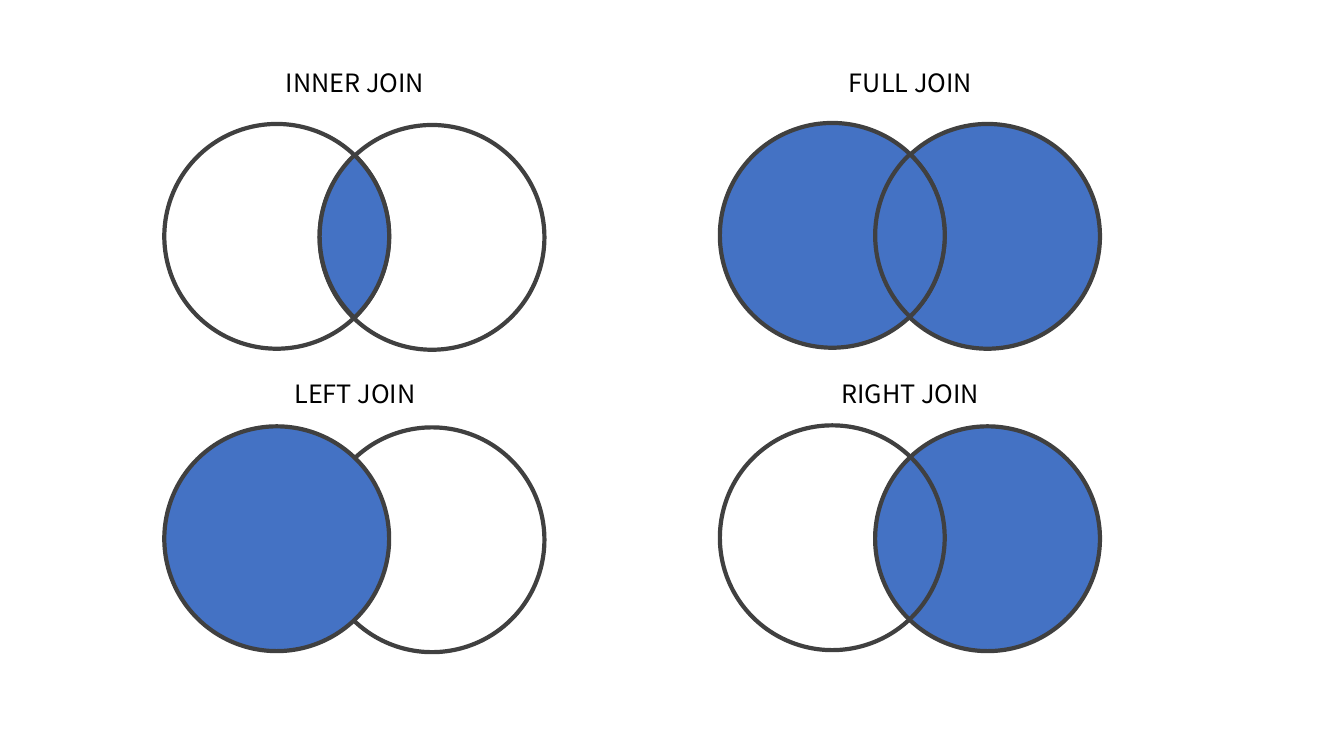
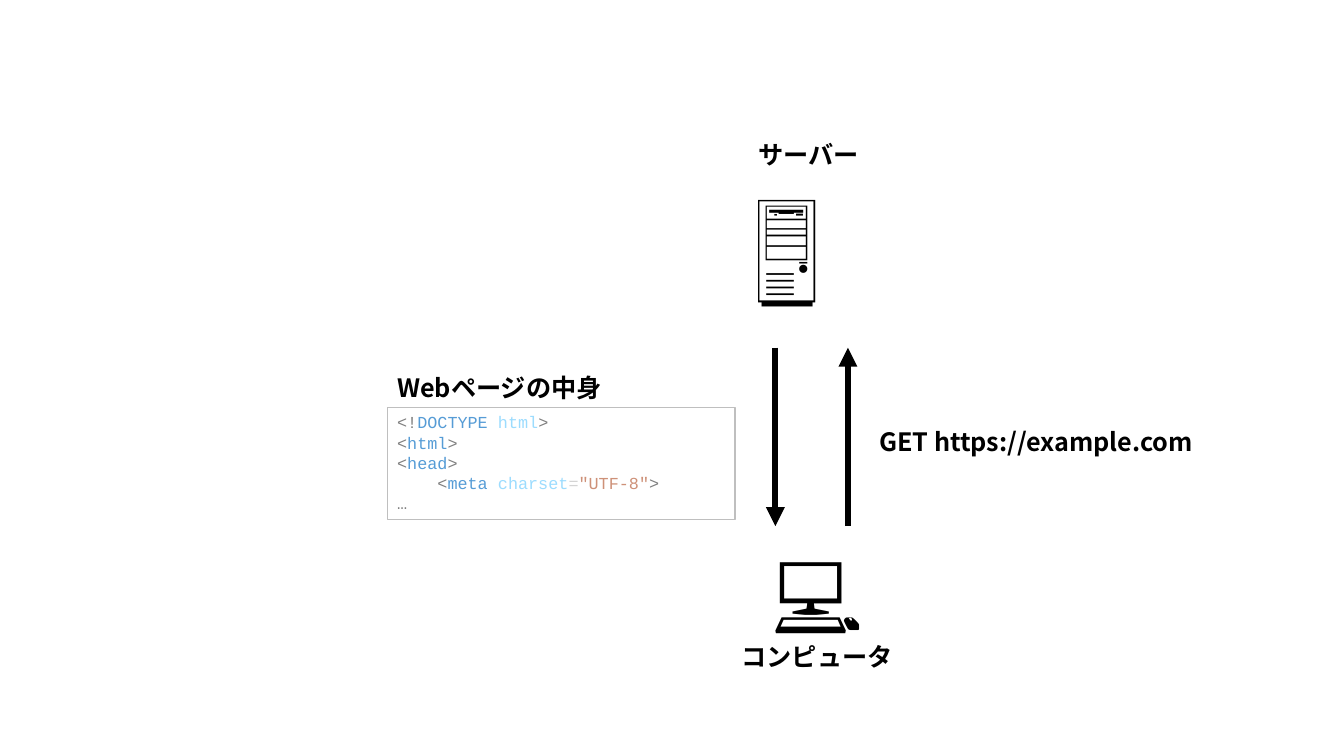
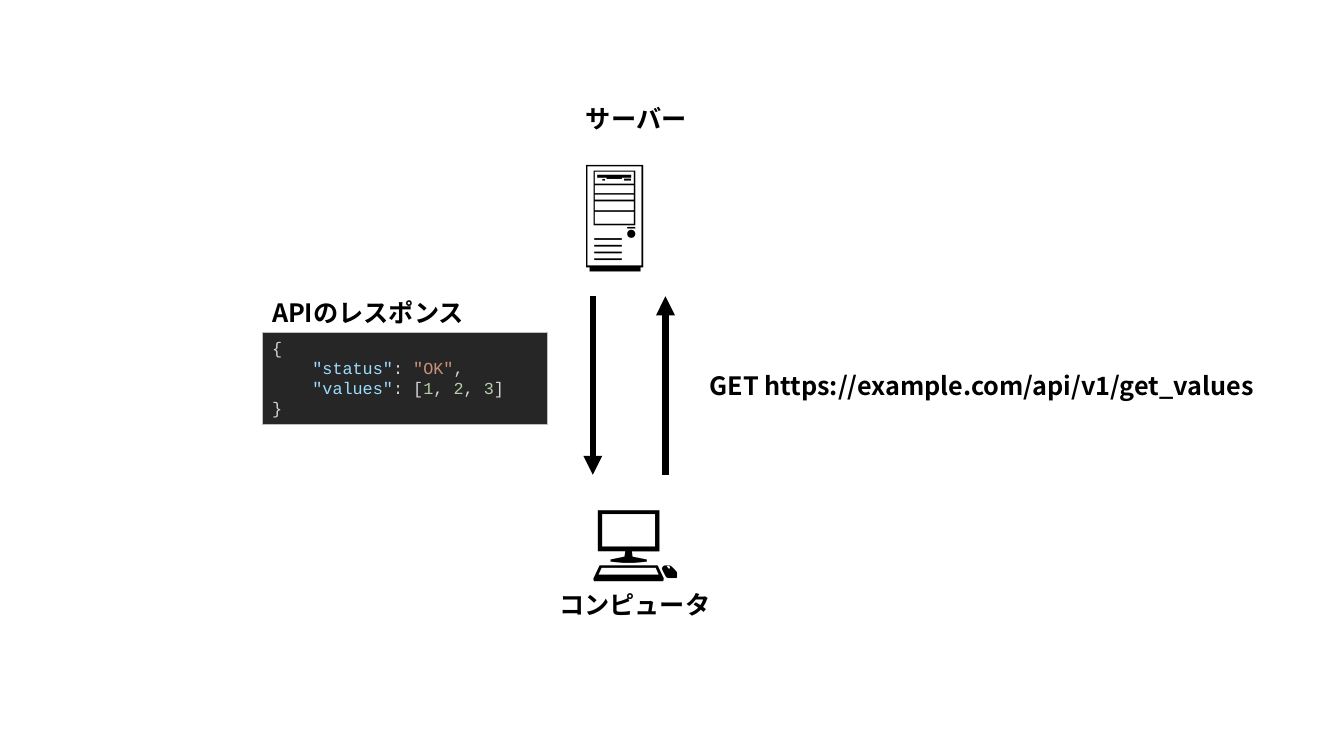
import math
import pptx
import pptx.dml.color
import pptx.enum.shapes
import pptx.enum.text
import pptx.oxml.ns
import pptx.util

Inches = pptx.util.Inches
Pt = pptx.util.Pt
RGB = pptx.dml.color.RGBColor.from_string
SHAPE = pptx.enum.shapes.MSO_SHAPE
ALIGN = pptx.enum.text.PP_ALIGN
GROW = pptx.enum.text.MSO_AUTO_SIZE.SHAPE_TO_FIT_TEXT
qn = pptx.oxml.ns.qn

SANS, MONO = "Noto Sans CJK JP", "Courier New"
COLORS = {
    "ink": "000000", "edge": "404040", "blue": "4472C4",
    "frame": "BFBFBF", "dark": "262626",
    "mark": "808080", "tag": "569CD6", "name": "9CDCFE",
    "plain": "D4D4D4", "string": "CE9178", "number": "B5CEA8",
}


def label(slide, x, y, w, h, text, size=18, bold=False, align=ALIGN.CENTER):
    """Add a text box with one line of sans text."""
    box = slide.shapes.add_textbox(Inches(x), Inches(y), Inches(w), Inches(h))
    box.text_frame.word_wrap = True
    box.text_frame.auto_size = GROW
    para = box.text_frame.paragraphs[0]
    para.text = text
    para.alignment = align
    font = para.font
    font.size, font.bold, font.name = Pt(size), bold, SANS
    font.color.rgb = RGB(COLORS["ink"])
    # East Asian letters need their own font entry
    props = para._p.pPr.find(qn("a:defRPr"))
    props.append(props.makeelement(qn("a:ea"), {"typeface": SANS}))


def paint(shape, fill, line, width):
    """Give a shape a flat fill (or none) and an outline."""
    shape.shadow.inherit = False
    if fill:
        shape.fill.solid()
        shape.fill.fore_color.rgb = RGB(COLORS[fill])
    else:
        shape.fill.background()
    shape.line.color.rgb = RGB(COLORS[line])
    shape.line.width = Pt(width)


deck = pptx.Presentation()
deck.slide_width, deck.slide_height = Inches(13.33), Inches(7.5)
blank = deck.slide_layouts[6]

# Slide 1: joins as pairs of circles
SIZE, SHIFT = 2.23, 1.54
RADIUS = SIZE / 2
HALF = math.acos(SHIFT / SIZE)
PULL = RADIUS * 4 / 3 * math.tan(HALF / 4)

# title, left, title top, circle top, left fill, right fill, lens
JOINS = [
    ("LEFT JOIN", 1.63, 3.7, 4.23, "blue", None, False),
    ("INNER JOIN", 1.63, 0.62, 1.23, None, None, True),
    ("RIGHT JOIN", 7.14, 3.7, 4.22, None, "blue", False),
    ("FULL JOIN", 7.14, 0.62, 1.22, "blue", "blue", True),
]
slide = deck.slides.add_slide(blank)
for title, x, head, y, left, right, lens in JOINS:
    for dx, dy, fill in ((SHIFT, 0.01, right), (0, 0, left)):
        ring = slide.shapes.add_shape(
            SHAPE.OVAL, Inches(x + dx), Inches(y + dy), Inches(SIZE), Inches(SIZE))
        paint(ring, fill, "edge", 3)
    if lens:
        # Four arcs: two of the left circle, then two of the right one
        near, far = x + RADIUS, x + RADIUS + SHIFT
        arcs = [(near, -HALF), (near, 0), (far, math.pi - HALF), (far, math.pi)]
        points = [(Inches(mid + RADIUS * math.cos(turn)),
                   Inches(y + RADIUS + RADIUS * math.sin(turn))) for mid, turn in arcs]
        form = slide.shapes.build_freeform(*points[0])
        form.add_line_segments(points[1:] + points[:1], close=True)
        shape = form.convert_to_shape()
        paint(shape, "blue", "edge", 3)
        # Bend each side into a curve
        sides = list(shape._element.iter(qn("a:lnTo")))
        for side, (mid, turn), start, end in zip(
                sides, arcs, points, points[1:] + points[:1]):
            curve = side.makeelement(qn("a:cubicBezTo"), {})
            for (px, py), angle, pull in ((start, turn, PULL), (end, turn + HALF, -PULL)):
                spot = {"x": str(px - Inches(pull * math.sin(angle)) - shape.left),
                        "y": str(py + Inches(pull * math.cos(angle)) - shape.top)}
                curve.append(curve.makeelement(qn("a:pt"), spot))
            curve.append(side[0])
            side.getparent().replace(side, curve)
for title, x, head, *rest in JOINS:
    label(slide, x + 1.06, head, 1.66, 0.4, title)

# Slides 2 and 3: a request and its reply
PAGE = [
    [("<!", "mark"), ("DOCTYPE ", "tag"), ("html", "name"), (">", "mark")],
    [("<", "mark"), ("html", "tag"), (">", "mark")],
    [("<", "mark"), ("head", "tag"), (">", "mark")],
    [("    ", "plain"), ("<", "mark"), ("meta ", "tag"), ("charset", "name"),
     ("=", "plain"), ('"UTF-8"', "string"), (">", "mark")],
    [("…", "mark")],
]
REPLY = [
    [("{", "plain")],
    [("    ", "plain"), ('"status"', "name"), (": ", "plain"),
     ('"OK"', "string"), (",", "plain")],
    [("    ", "plain"), ('"values"', "name"), (": [", "plain"), ("1", "number"),
     (", ", "plain"), ("2", "number"), (", ", "plain"), ("3", "number"), ("]", "plain")],
    [("}", "plain")],
]
# server icon, computer icon, request box, code box, code fill, caption, code
FLOWS = [
    ((7.36, 1.67), (7.36, 5.27), (8.62, 4.18, 3.37), "GET https://example.com",
     (3.84, 4.04, 3.45, 1.11), None, "Webページの中身", PAGE),
    ((5.65, 1.32), (5.55, 4.76), (6.94, 3.62, 5.84),
     "GET https://example.com/api/v1/get_values",
     (2.6, 3.3, 2.83, 0.91), "dark", "APIのレスポンス", REPLY),
]
for (sx, sy), (cx, cy), (gx, gy, gw), query, area, fill, title, code in FLOWS:
    slide = deck.slides.add_slide(blank)

    # Computer, request and server
    label(slide, cx, cy, 1.51, 1.11, "💻", 60)
    label(slide, gx, gy, gw, 0.4, query, bold=True, align=ALIGN.LEFT)
    label(slide, sx, sy, 1.29, 1.45, "🖥", 80, align=ALIGN.LEFT)
    label(slide, sx - 0.2, sy - 0.34, 1.72, 0.4, "サーバー", bold=True)

    # Code box
    box = slide.shapes.add_shape(SHAPE.RECTANGLE, *map(Inches, area))
    paint(box, fill, "frame", 0.75)
    frame = box.text_frame
    frame.word_wrap = True
    frame.auto_size = GROW
    frame.vertical_anchor = pptx.enum.text.MSO_ANCHOR.TOP
    for row, parts in enumerate(code):
        para = frame.add_paragraph() if row else frame.paragraphs[0]
        para.alignment = ALIGN.LEFT
        para.font.name, para.font.size = MONO, Pt(12)
        for text, hue in parts:
            run = para.add_run()
            run.text = text
            run.font.color.rgb = RGB(COLORS[hue])

    # Arrows down and up
    top, low = cy - 1.82, cy - 0.05
    for x, start, end in ((cx + 0.33, top, low), (cx + 1.05, low, top)):
        arrow = slide.shapes.add_connector(
            pptx.enum.shapes.MSO_CONNECTOR.STRAIGHT,
            Inches(x), Inches(start), Inches(x), Inches(end))
        arrow.line.color.rgb = RGB(COLORS["ink"])
        arrow.line.width = Pt(4.5)
        line = arrow.line._get_or_add_ln()
        line.append(line.makeelement(qn("a:tailEnd"), {"type": "triangle"}))
        props = arrow._element.spPr
        props.append(props.makeelement(qn("a:effectLst"), {}))

    # Names of the computer and the code
    label(slide, cx - 0.21, cy + 1.04, 1.91, 0.4, "コンピュータ", bold=True)
    label(slide, area[0], area[1] - 0.4, area[2], 0.4, title, bold=True, align=ALIGN.LEFT)

deck.save("out.pptx")
